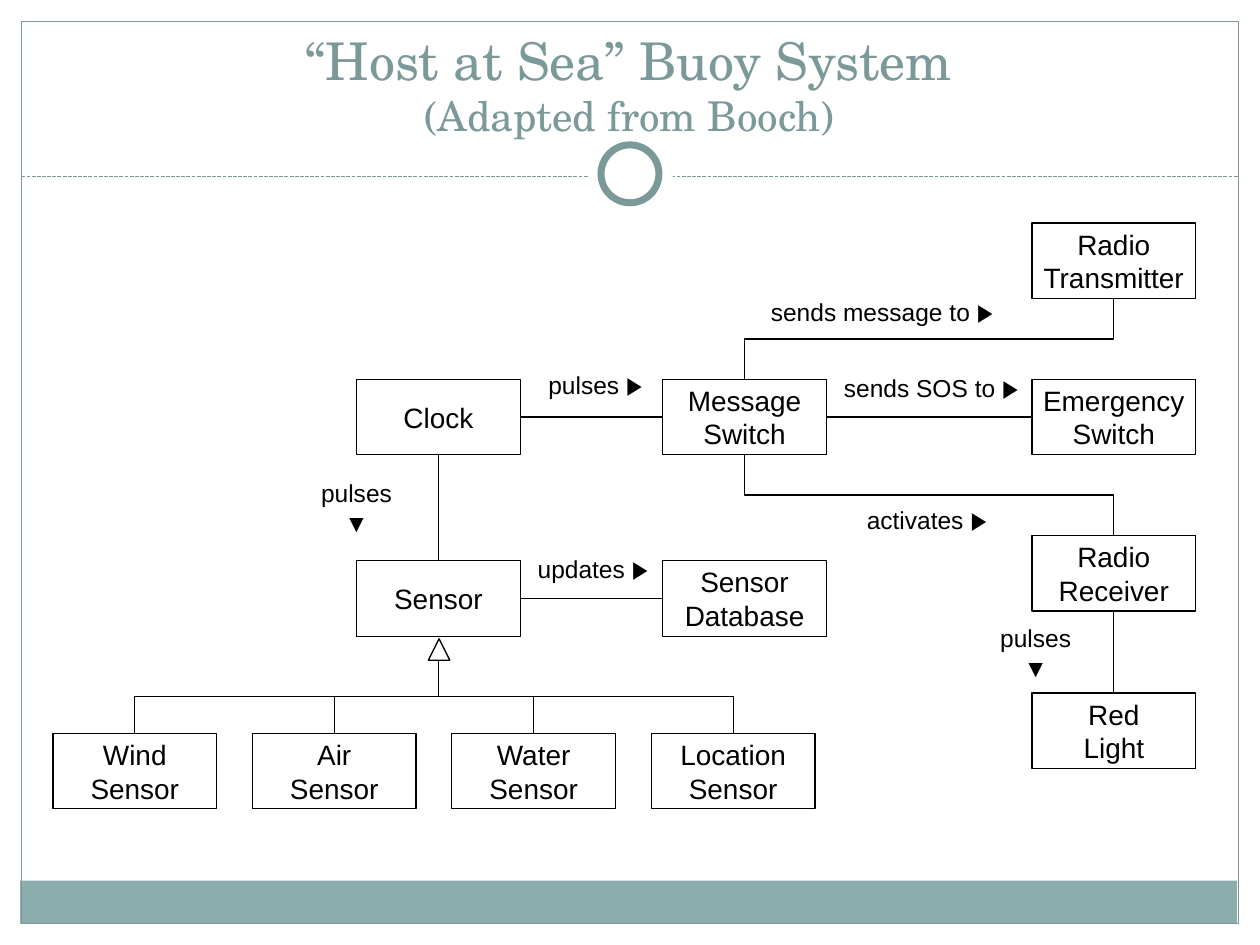
from lxml.etree import SubElement
from pptx import Presentation
from pptx.dml.color import RGBColor
from pptx.enum.dml import MSO_LINE
from pptx.enum.shapes import MSO_CONNECTOR, MSO_SHAPE
from pptx.enum.text import MSO_ANCHOR, MSO_AUTO_SIZE, PP_ALIGN
from pptx.oxml.ns import qn
from pptx.util import Inches, Pt

BLACK, WHITE, TEAL, BAND = "000000", "FFFFFF", "7C999A", "8CADAE"
BOX_W, BOX_H = 1.3, 0.6
CLOCK_X, SWITCH_X, RADIO_X = 2.83, 5.26, 8.19
CLOCK_Y, SENSOR_Y, KIND_Y = 3.01, 4.45, 5.82
KIND_X, KIND_STEP = 0.42, 1.583
CLASSES = [
    ("Emergency\nSwitch", RADIO_X, CLOCK_Y),
    ("Radio\nTransmitter", RADIO_X, 1.77),
    ("Clock", CLOCK_X, CLOCK_Y),
    ("Sensor\nDatabase", SWITCH_X, SENSOR_Y),
    ("Message\nSwitch", SWITCH_X, CLOCK_Y),
    ("Red\nLight", RADIO_X, 5.5),
    ("Radio\nReceiver", RADIO_X, 4.25),
    ("Sensor", CLOCK_X, SENSOR_Y),
]
SENSOR_KINDS = ["Wind", "Air", "Water", "Location"]
# Wording, left, top, width, height, wrapped
ROLES = [
    ("pulses ▼", 2.43, 3.77, 0.8, 0.52, True),
    ("sends SOS to ▶", 6.58, 2.91, 1.62, 0.33, False),
    ("pulses ▼", 7.82, 4.92, 0.8, 0.52, True),
    ("activates ▶", 6.76, 3.96, 1.19, 0.33, False),
    ("sends message to ▶", 6, 2.31, 2, 0.33, False),
    ("updates ▶", 4.15, 4.35, 1.11, 0.33, False),
    ("pulses ▶", 4.23, 2.89, 0.99, 0.33, False),
]


def color(hex_code):
    """Turn a hex string into a colour."""
    return RGBColor.from_string(hex_code)


def add_figure(slide, preset, box, fill=None, line=None, weight=0.75):
    """Add a preset shape; a fill or line that is not given stays off."""
    figure = slide.shapes.add_shape(preset, *map(Inches, box))
    figure.shadow.inherit = False
    for part, shade in ((figure.fill, fill), (figure.line.fill, line)):
        if shade:
            part.solid()
            part.fore_color.rgb = color(shade)
        else:
            part.background()
    if line:
        figure.line.width = Pt(weight)
    return figure


def write(frame, wording, size, wrap=False):
    """Write centred Arial, one paragraph for each line of the wording."""
    frame.text = wording
    frame.word_wrap = wrap
    frame.vertical_anchor = MSO_ANCHOR.MIDDLE
    for paragraph in frame.paragraphs:
        paragraph.alignment = PP_ALIGN.CENTER
        paragraph.font.name = "Arial"
        paragraph.font.size = Pt(size)
        paragraph.font.color.rgb = color(BLACK)


def add_class(slide, wording, left, top):
    """Add a class box."""
    box = (left, top, BOX_W, BOX_H)
    figure = add_figure(slide, MSO_SHAPE.RECTANGLE, box, line=BLACK)
    write(figure.text_frame, wording, 16)


def add_role(slide, wording, left, top, width, height, wrap):
    """Add the wording of an association."""
    role = slide.shapes.add_textbox(*map(Inches, (left, top, width, height)))
    write(role.text_frame, wording, 14, wrap)


def add_link(slide, start, end, shade=BLACK, kind=MSO_CONNECTOR.STRAIGHT):
    """Add a thin connector from start to end."""
    link = slide.shapes.add_connector(kind, *map(Inches, (*start, *end)))
    link.line.color.rgb = color(shade)
    link.line.width = Pt(0.75)
    SubElement(link._element.spPr, qn("a:effectLst"))
    return link


def add_elbow(slide, start, end):
    """Add an elbow that leaves and arrives vertically, by a quarter turn."""
    mid_x, mid_y = (start[0] + end[0]) / 2, (start[1] + end[1]) / 2
    run, rise = start[0] - mid_x, start[1] - mid_y
    elbow = add_link(slide, (mid_x - rise, mid_y + run),
                     (mid_x + rise, mid_y - run), kind=MSO_CONNECTOR.ELBOW)
    elbow._element.spPr.find(qn("a:xfrm")).set("rot", str(270 * 60000))


def add_title(slide):
    """Place and format the two-line title."""
    title = slide.shapes.title
    title.left, title.top = Inches(0.33), Inches(0.33)
    title.width, title.height = Inches(9.33), Inches(0.83)
    frame = title.text_frame
    frame.auto_size = MSO_AUTO_SIZE.NONE
    frame.vertical_anchor = MSO_ANCHOR.BOTTOM
    heading = frame.paragraphs[0]
    heading.alignment = PP_ALIGN.CENTER
    heading.font.name = "TeX Gyre Schola"
    heading.font.color.rgb = color(TEAL)
    lines = [("“Host at Sea” Buoy System", 29.7), ("(Adapted from Booch)", 23.4)]
    for index, (wording, size) in enumerate(lines):
        if index:
            heading.add_line_break()
        run = heading.add_run()
        run.text = wording
        run.font.size = Pt(size)


def add_frame(slide):
    """Draw the border, bottom band, dashed rule and ring."""
    add_figure(slide, MSO_SHAPE.RECTANGLE, (0.16, 6.99, 9.66, 0.34), BAND)
    add_figure(slide, MSO_SHAPE.RECTANGLE, (0.17, 0.17, 9.66, 7.16), line=TEAL)
    rule = add_link(slide, (0.17, 1.4), (9.83, 1.4), TEAL)
    rule.line.dash_style = MSO_LINE.SQUARE_DOT
    add_figure(slide, MSO_SHAPE.OVAL, (4.67, 1.05, 0.67, 0.67), WHITE)
    add_figure(slide, MSO_SHAPE.OVAL, (4.77, 1.15, 0.46, 0.46), WHITE, TEAL, 4)


def add_associations(slide):
    """Join the classes."""
    half_w, half_h = BOX_W / 2, BOX_H / 2
    clock, switch, radio = (x + half_w for x in (CLOCK_X, SWITCH_X, RADIO_X))
    for left, right, top in ((CLOCK_X, SWITCH_X, CLOCK_Y),
                             (CLOCK_X, SWITCH_X, SENSOR_Y),
                             (SWITCH_X, RADIO_X, CLOCK_Y)):
        add_link(slide, (left + BOX_W, top + half_h), (right, top + half_h))
    add_link(slide, (clock, CLOCK_Y + BOX_H), (clock, SENSOR_Y))
    add_link(slide, (radio, 4.85), (radio, 5.5))
    add_elbow(slide, (switch, CLOCK_Y + BOX_H), (radio, 4.25))
    add_elbow(slide, (switch, CLOCK_Y), (radio, 2.37))


def add_sensor_kinds(slide):
    """Add the kinds of sensor and their generalization tree."""
    parent = (CLOCK_X + BOX_W / 2, 5.24)
    for index, kind in enumerate(SENSOR_KINDS):
        left = KIND_X + index * KIND_STEP
        add_class(slide, f"{kind}\nSensor", left, KIND_Y)
        child = (left + BOX_W / 2, KIND_Y)
        add_elbow(slide, *sorted((child, parent)))
    add_figure(slide, MSO_SHAPE.ISOSCELES_TRIANGLE,
               (3.4, 5.07, 0.17, 0.17), line=BLACK)


def main():
    """Build the slide and save it."""
    deck = Presentation()
    deck.slide_width, deck.slide_height = Inches(10), Inches(7.5)
    slide = deck.slides.add_slide(deck.slide_layouts[5])
    add_title(slide)
    add_frame(slide)
    for wording, left, top in CLASSES:
        add_class(slide, wording, left, top)
    add_associations(slide)
    add_sensor_kinds(slide)
    for role in ROLES:
        add_role(slide, *role)
    deck.save("out.pptx")


main()
